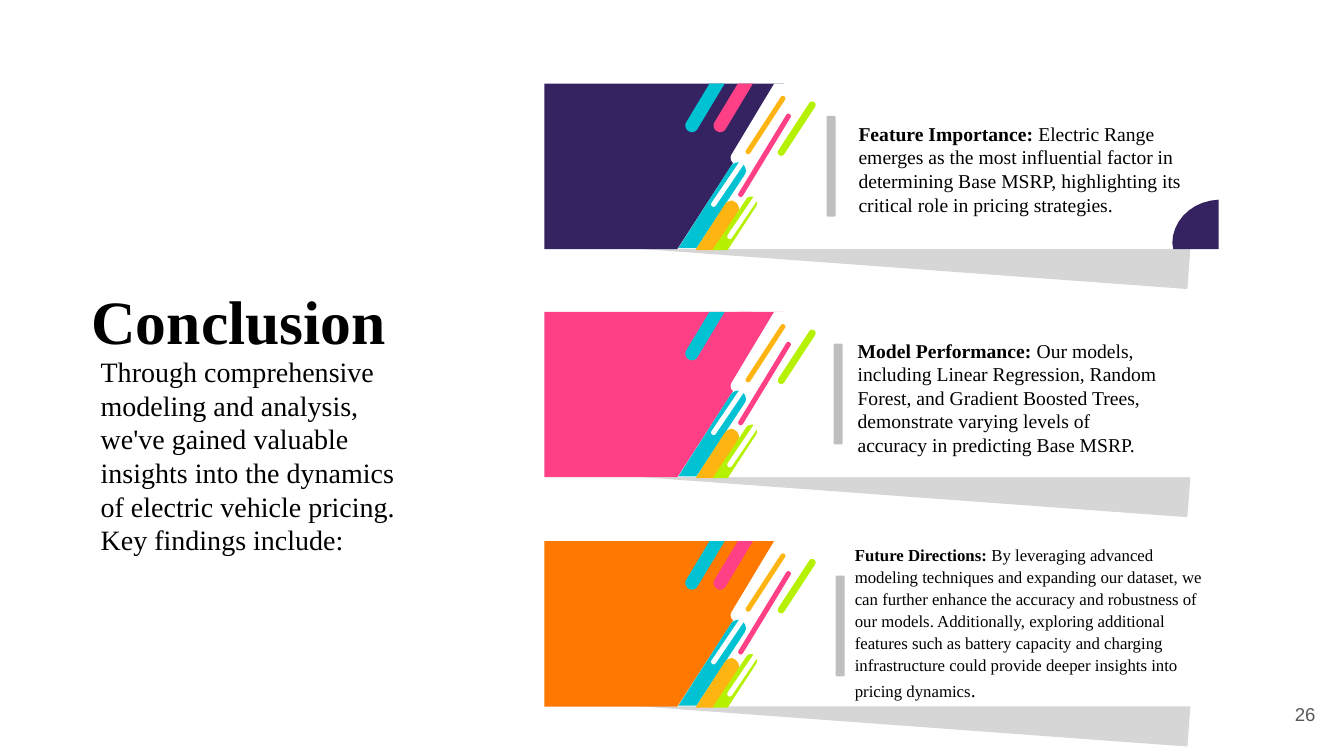
from pptx import Presentation
from pptx.dml.color import RGBColor
from pptx.enum.shapes import MSO_SHAPE
from pptx.enum.text import MSO_ANCHOR, PP_ALIGN
from pptx.util import Pt
from lxml import etree

RECT, ROUND = MSO_SHAPE.RECTANGLE, MSO_SHAPE.ROUNDED_RECTANGLE
TOP, MIDDLE = MSO_ANCHOR.TOP, MSO_ANCHOR.MIDDLE
LEFT, RIGHT = PP_ALIGN.LEFT, PP_ALIGN.RIGHT
NS = "http://schemas.openxmlformats.org/drawingml/2006/main"

SERIF = "Times New Roman"
NAVY, PINK, ORANGE = "352361", "FF4086", "FF7900"
TEAL, AMBER, LIME = "01C2D3", "FEB511", "B6F104"
WHITE, BLACK, GRAY, DIM = "FFFFFF", "000000", "BFBFBF", "595959"

INTRO = ("Through comprehensive modeling and analysis, we've gained valuable insights "
         "into the dynamics of electric vehicle pricing. Key findings include:")

CARDS = [
    dict(top=59.8, color=NAVY, bar=(590.4, 82.8), box=(606.2, 83.5, 249.1, 74.9),
         size=14, inset=7.2, space=None, runs=[
             ("Feature Importance: ", True, 14),
             ("Electric Range emerges as the most influential factor in determining "
              "Base MSRP, highlighting its critical role in pricing strategies.", False, 14)]),
    dict(top=222.8, color=PINK, bar=(595.4, 245.5), box=(605.5, 238.3, 232.6, 92.2),
         size=14, inset=7.2, space=None, runs=[
             ("Model Performance: ", True, 14),
             ("Our models, including Linear Regression, Random Forest, and Gradient "
              "Boosted Trees, demonstrate varying levels of accuracy in predicting "
              "Base MSRP.", False, 14)]),
    dict(top=386.6, color=ORANGE, bar=(596.9, 411.1), box=(567.4, 383.8, 311.8, 120.2),
         size=12, inset=43.2, space=1.1, runs=[
             ("Future Directions:", True, 12),
             (" By leveraging advanced modeling techniques and expanding our dataset, "
              "we can further enhance the accuracy and robustness of our models. "
              "Additionally, exploring additional features such as battery capacity and "
              "charging infrastructure could provide deeper insights into pricing "
              "dynamics", False, 12),
             (".", False, 14)]),
]

CARD_X, CARD_W, CARD_H = 388.8, 482.4, 118.1

PANEL = [(0, 0), (171.4, 0), (95, CARD_H), (0, CARD_H)]
CORNER = [(481.7, 82.8), (481.7, CARD_H), (449.3, CARD_H), (448.6, 113.8),
          (448.6, 99.4, 460.1, 86.4, 475.9, 83.5)]
CAP = [(138.2, 0), (149, 0), (129.6, 32.4),
       (128.2, 34.6, 125.3, 35.3, 123.1, 33.8),
       (121, 32.4, 120.2, 29.5, 121.7, 27.4)]
CAP_LEFT = [(x - 20.2, *rest) if not rest[1:] else
            tuple(v - 20.2 * (i % 2 == 0) for i, v in enumerate((x, *rest)))
            for x, *rest in CAP]
SLASH = [(164.2, 0), (172.8, 0), (173.5, 0.7),
         (173.5, 1.4, 173.5, 2.9, 172.8, 4.3), (141.8, 54.7),
         (140.4, 56.9, 137.5, 57.6, 135.4, 56.9),
         (133.2, 55.4, 132.5, 52.6, 133.9, 50.4)]
LONG = [(139, 56.2), (139.7, 56.2, 140.4, 56.9, 141.1, 56.9),
        (144, 59, 144.7, 62.6, 143.3, 64.8), (108.7, 117.4), (95.8, 117.4),
        (133.2, 59), (134.6, 56.9, 136.8, 56.2, 139, 56.2)]
SHORT = [(134.6, 83.5), (135.4, 84.2, 136.1, 84.2, 136.8, 85),
         (139, 86.4, 139.7, 90, 138.2, 92.2), (121, 118.8), (108, 118.8),
         (128.9, 86.4), (130.3, 84.2, 132.5, 83.5, 134.6, 83.5)]
THIN = [(148.3, 80.6), (149, 80.6, 149.8, 81.4, 149.8, 81.4),
        (151.9, 82.8, 152.6, 85.7, 151.2, 87.8), (131, 118.8), (120.2, 118.8),
        (144, 82.8), (144.7, 81.4, 146.2, 80.6, 148.3, 80.6)]

STRIPES = [
    (PINK, CAP), (TEAL, CAP_LEFT), (WHITE, SLASH),
    (PINK, (155.5, 16.6, 3.6, 69.1), 31.3),
    (TEAL, LONG),
    (WHITE, (137.5, 24.5, 3.6, 69.1), 34.1),
    (AMBER, SHORT),
    (AMBER, (156.2, 5, 3.6, 49), 33.1),
    (LIME, THIN),
    (WHITE, (149, 47.5, 3.6, 69.1), 34.1),
    (LIME, (177.8, 9.4, 5, 45.4), 33.1),
]

deck = Presentation()
deck.slide_width, deck.slide_height = Pt(960), Pt(540)
slide = deck.slides.add_slide(deck.slide_layouts[6])
shapes = slide.shapes


def rgb(code):
    return RGBColor.from_string(code)


def paint(shape, color):
    shape.shadow.inherit = False
    shape.fill.solid()
    shape.fill.fore_color.rgb = rgb(color)
    shape.line.fill.background()
    return shape


def block(kind, box, color, turn=0, bend=None):
    shape = paint(shapes.add_shape(kind, *map(Pt, box)), color)
    shape.rotation = turn
    if bend is not None:
        shape.adjustments[0] = bend
    return shape


def trace(nodes):
    points = [nodes[0]]
    for node in nodes[1:]:
        if len(node) == 2:
            points.append(node)
            continue
        start, (a, b, c, d, e, f) = points[-1], node
        for step in range(1, 9):
            t = step / 8
            u = 1 - t
            points.append(tuple(
                u**3 * p + 3 * u * u * t * q + 3 * u * t * t * r + t**3 * s
                for p, q, r, s in zip(start, (a, b), (c, d), (e, f))))
    return points


def outline(nodes, top, color):
    points = [(Pt(CARD_X + x), Pt(top + y)) for x, y in trace(nodes)]
    form = shapes.build_freeform(*points[0])
    form.add_line_segments(points[1:])
    paint(form.convert_to_shape(), color)


def write(box, runs, size, font=SERIF, color=BLACK, bold=None, align=LEFT,
          anchor=TOP, inset=(7.2, 3.6), space=None):
    frame = shapes.add_textbox(*map(Pt, box)).text_frame
    frame.word_wrap = True
    frame.vertical_anchor = anchor
    frame.margin_left, frame.margin_top = map(Pt, inset)
    para = frame.paragraphs[0]
    para.alignment, para.line_spacing = align, space
    para.font.name, para.font.size, para.font.bold = font, Pt(size), bold
    para.font.color.rgb = rgb(color)
    for text, strong, points in runs:
        run = para.add_run()
        run.text = text
        if strong:
            run.font.bold = True
        if points != size:
            run.font.size = Pt(points)


def card(top, color, bar, box, size, inset, space, runs):
    shade = block(RECT, (CARD_X + 72, top + 49, 391, 83.5), BLACK, 4.2)
    tint = shade.fill._xPr.find(f".//{{{NS}}}srgbClr")
    etree.SubElement(tint, f"{{{NS}}}alpha", val="16000")
    block(RECT, (CARD_X, top, CARD_W, CARD_H), WHITE)
    if color == NAVY:
        outline(CORNER, top, NAVY)
    outline(PANEL, top, color)
    for hue, form, *turn in STRIPES:
        if turn:
            x, y, w, h = form
            block(ROUND, (CARD_X + x, top + y, w, h), hue, turn[0], 0.5)
        else:
            outline(form, top, hue)
    block(ROUND, (*bar, 6.5, 72), GRAY)
    write(box, runs, size, inset=(inset, 3.6), space=space)


write((58.3, 190.8, 256.3, 60.5), [("Conclusion", None, 44)], 44, bold=True,
      inset=(7.2, 11))
write((889.2, 489.6, 57.6, 41), [("26", None, 13.3)], 13.3, font="Arial",
      color=DIM, align=RIGHT, anchor=MIDDLE)
for item in CARDS:
    card(**item)
write((64.8, 249.8, 239, 163.4), [(INTRO, None, 20)], 20)

deck.save("out.pptx")
